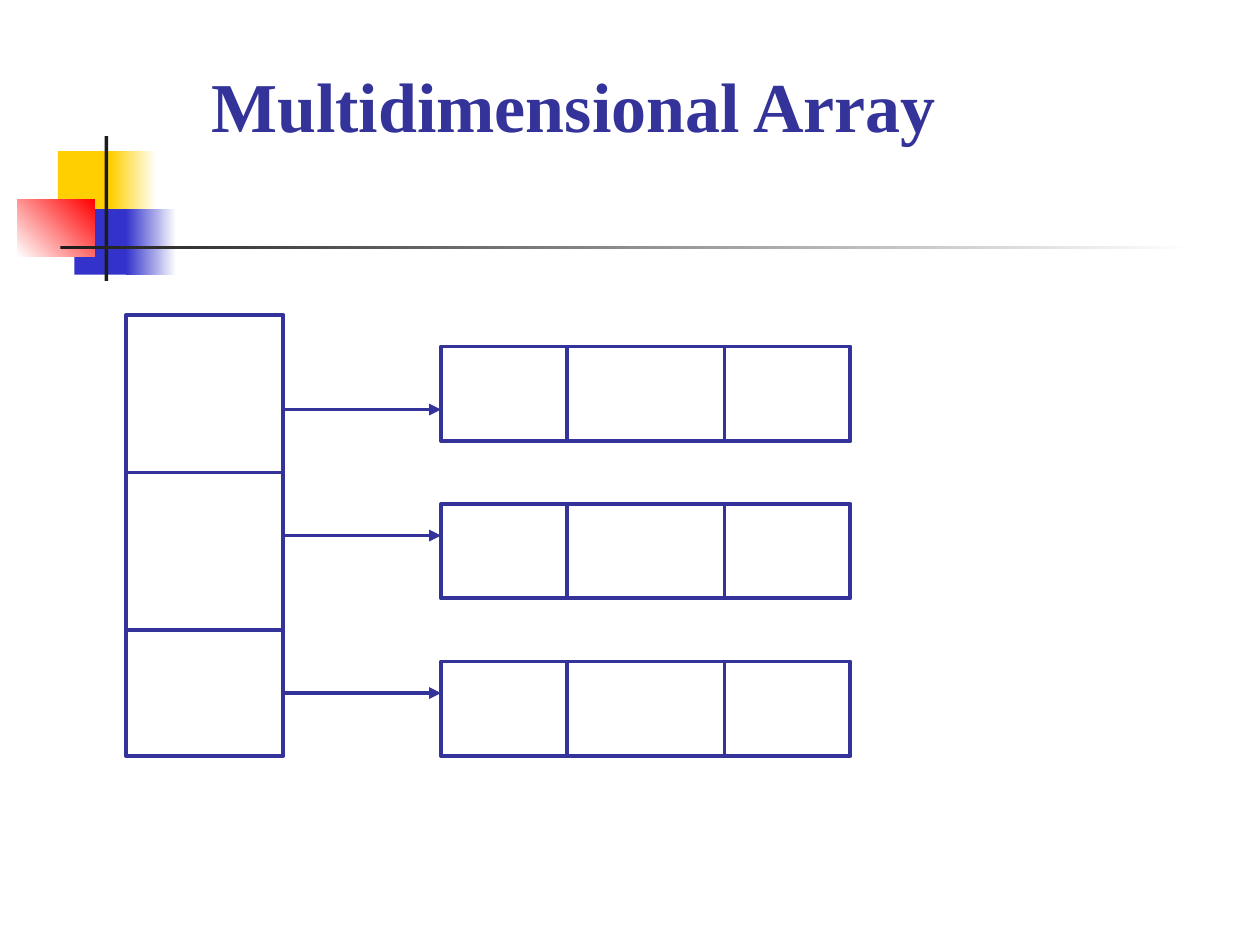
import pptx
import pptx.dml.color
import pptx.enum.shapes
import pptx.enum.text
import pptx.oxml.ns
import pptx.util
from lxml import etree
from pptx.util import Inches

WHITE = pptx.dml.color.RGBColor(0xFF, 0xFF, 0xFF)
YELLOW = pptx.dml.color.RGBColor(0xFF, 0xCF, 0x01)
BLUE = pptx.dml.color.RGBColor(0x33, 0x33, 0xCC)
RED = pptx.dml.color.RGBColor(0xFF, 0x00, 0x00)
BLACK = pptx.dml.color.RGBColor(0x1C, 0x1C, 0x1C)
NAVY = pptx.dml.color.RGBColor(0x33, 0x33, 0x99)
LINE_WIDTH = pptx.util.Pt(2.25)
RECTANGLE = pptx.enum.shapes.MSO_SHAPE.RECTANGLE

deck = pptx.Presentation()
deck.slide_width, deck.slide_height = Inches(10), Inches(7.5)
page = deck.slides.add_slide(deck.slide_layouts[6])


def add_text(text, left, top, width, height, *, size, font, color, bold=False):
    box = page.shapes.add_textbox(Inches(left), Inches(top), Inches(width), Inches(height))
    frame = box.text_frame
    frame.word_wrap = True
    frame.vertical_anchor = pptx.enum.text.MSO_ANCHOR.MIDDLE
    span = frame.paragraphs[0].add_run()
    span.text = text
    span.font.size = pptx.util.Pt(size)
    span.font.name = font
    span.font.bold = bold
    span.font.color.rgb = color


def add_line(x1, y1, x2, y2, arrow=False):
    line = page.shapes.add_connector(
        pptx.enum.shapes.MSO_CONNECTOR.STRAIGHT, Inches(x1), Inches(y1), Inches(x2), Inches(y2))
    line.line.color.rgb = NAVY
    line.line.width = LINE_WIDTH
    if arrow:
        etree.SubElement(line.line._get_or_add_ln(), pptx.oxml.ns.qn("a:tailEnd"), type="triangle")
    etree.SubElement(line._element.spPr, pptx.oxml.ns.qn("a:effectLst"))


# Corner ornament: position, start colour, end colour (None for solid), angle
ornament = [
    (0.46, 1.2, 0.48, 0.52, YELLOW, None, 0),
    (0.88, 1.2, 0.36, 0.52, YELLOW, WHITE, 0),
    (0.59, 1.66, 0.46, 0.52, BLUE, None, 0),
    (1, 1.66, 0.4, 0.52, BLUE, WHITE, 0),
    (0.14, 1.58, 0.61, 0.46, WHITE, RED, 45),
    (0.83, 1.08, 0.03, 1.15, BLACK, None, 0),
    (0.48, 1.95, 9, 0.03, BLACK, WHITE, 0),
]
for left, top, width, height, start, end, angle in ornament:
    bar = page.shapes.add_shape(RECTANGLE, Inches(left), Inches(top), Inches(width), Inches(height))
    bar.shadow.inherit = False
    bar.line.fill.background()
    if end is None:
        bar.fill.solid()
        bar.fill.fore_color.rgb = start
    else:
        bar.fill.gradient()
        bar.fill.gradient_angle = angle
        for stop, color in zip(bar.fill.gradient_stops, (start, end)):
            stop.color.rgb = color

add_text("Multidimensional Array", 1.58, 0.11, 7.83, 1.44,
         size=40, font="Times New Roman", color=NAVY, bold=True)

# Outer array on the left, one inner array per row on the right
OUTER_LEFT, OUTER_RIGHT = 1, 2.25
INNER_LEFT, INNER_WIDTH, INNER_HEIGHT = 3.5, 3.25, 0.75
inner_tops = [2.75 + 1.25 * row for row in range(3)]

arrays = [(OUTER_LEFT, 2.5, OUTER_RIGHT - OUTER_LEFT, 3.5)]
arrays += [(INNER_LEFT, top, INNER_WIDTH, INNER_HEIGHT) for top in inner_tops]
for left, top, width, height in arrays:
    array = page.shapes.add_shape(RECTANGLE, Inches(left), Inches(top), Inches(width), Inches(height))
    array.shadow.inherit = False
    array.fill.solid()
    array.fill.fore_color.rgb = WHITE
    array.line.color.rgb = NAVY
    array.line.width = LINE_WIDTH

for y in (3.25, 4.25, 5.5):
    add_line(OUTER_RIGHT, y, INNER_LEFT, y, arrow=True)
for y in (3.75, 5):
    add_line(OUTER_LEFT, y, OUTER_RIGHT, y)
for top in inner_tops:
    for x in (4.5, 5.75):
        add_line(x, top, x, top + INNER_HEIGHT)

deck.save("out.pptx")
